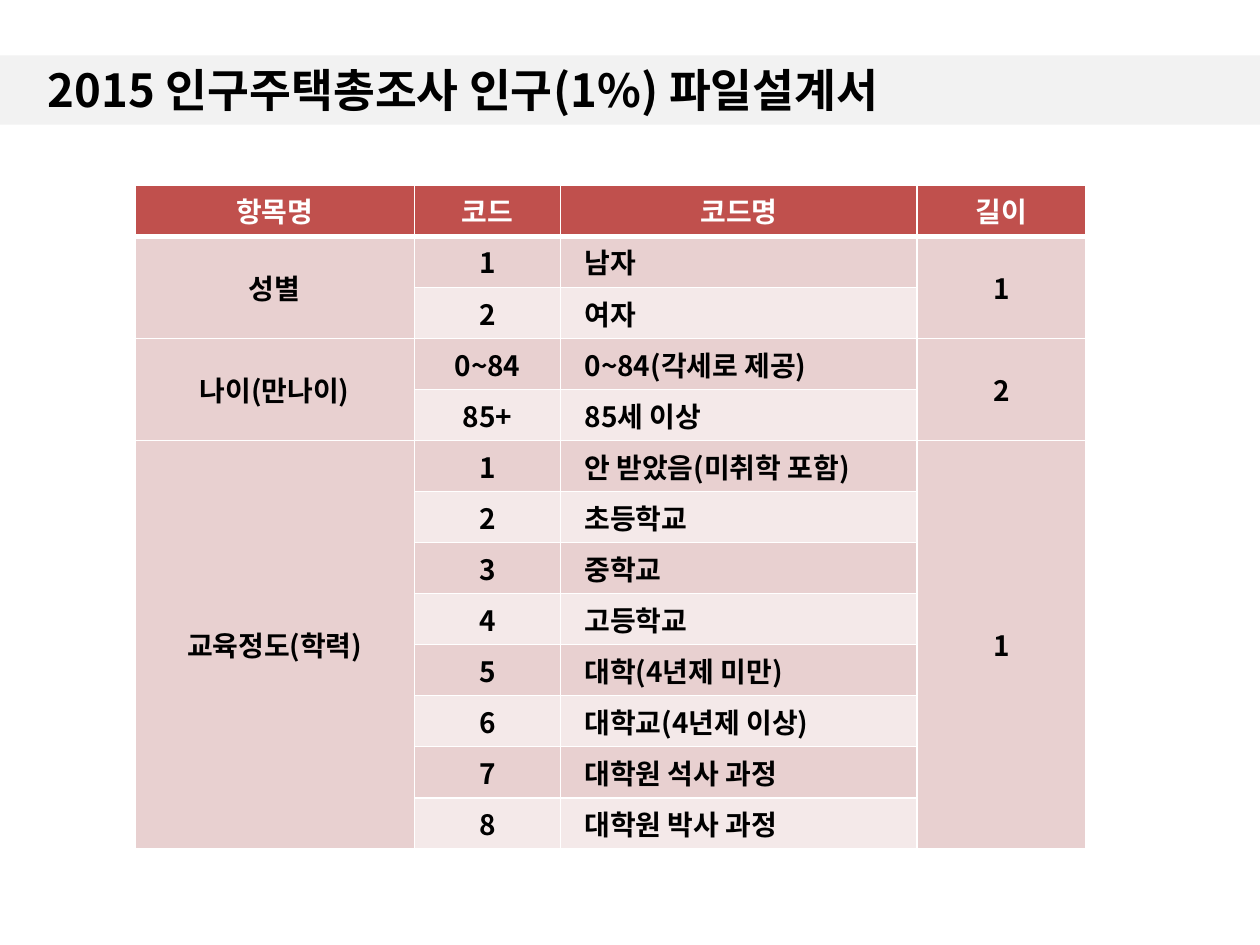
"""Build the census file layout slide: a title band above a code table."""
from dataclasses import dataclass

from lxml import etree
from pptx import Presentation
from pptx.dml.color import RGBColor
from pptx.enum import shapes, text
from pptx.oxml import ns
from pptx.util import Inches, Pt


@dataclass(frozen=True)
class Theme:
    """Colours, font and type sizes of the slide."""

    font: str = "Noto Sans CJK KR"
    title_size: int = 26
    table_size: int = 16
    ink: str = "000000"
    white: str = "FFFFFF"
    band: str = "F2F2F2"
    header: str = "C0504D"
    odd_row: str = "E8D0D0"
    even_row: str = "F4E9E9"
    thin_border: int = 1
    header_border: int = 3


HEADERS = ["항목명", "코드", "코드명", "길이"]
GROUPS = [
    ("성별", "1", [("1", "남자"), ("2", "여자")]),
    ("나이(만나이)", "2", [("0~84", "0~84(각세로 제공)"), ("85+", "85세 이상")]),
    ("교육정도(학력)", "1", [
        ("1", "안 받았음(미취학 포함)"),
        ("2", "초등학교"),
        ("3", "중학교"),
        ("4", "고등학교"),
        ("5", "대학(4년제 미만)"),
        ("6", "대학교(4년제 이상)"),
        ("7", "대학원 석사 과정"),
        ("8", "대학원 박사 과정"),
    ]),
]
COLUMN_WIDTHS = [2.22, 1.16, 2.83, 1.34]
NAME_COLUMN = 2
TABLE_HEIGHT = 5.27


class SlideBuilder:
    """Draw the elements of one slide in one theme."""

    def __init__(self, presentation, theme):
        """Start a title-only slide."""
        self.theme = theme
        self.slide = presentation.slides.add_slide(presentation.slide_layouts[5])

    def set_text(self, text_frame, wording, size, color, alignment):
        """Set one bold paragraph of text."""
        text_frame.text = wording
        paragraph = text_frame.paragraphs[0]
        paragraph.alignment = alignment
        for run in paragraph.runs:
            font = run.font
            font.name, font.size, font.bold = self.theme.font, Pt(size), True
            font.color.rgb = RGBColor.from_string(color)
            latin = font._element.find(ns.qn("a:latin"))
            east_asian = etree.Element(ns.qn("a:ea"), typeface=self.theme.font)
            latin.addnext(east_asian)

    def title(self, wording, left, top, width, height):
        """Place the title placeholder."""
        title = self.slide.shapes.title
        title.left, title.top = Inches(left), Inches(top)
        title.width, title.height = Inches(width), Inches(height)
        title.text_frame.vertical_anchor = text.MSO_ANCHOR.MIDDLE
        self.set_text(title.text_frame, wording, self.theme.title_size,
                      self.theme.ink, text.PP_ALIGN.LEFT)

    def band(self, left, top, width, height):
        """Lay a plain band behind the title."""
        shape = self.slide.shapes.add_shape(
            shapes.MSO_SHAPE.RECTANGLE,
            Inches(left), Inches(top), Inches(width), Inches(height))
        shape.shadow.inherit = False
        shape.fill.solid()
        shape.fill.fore_color.rgb = RGBColor.from_string(self.theme.band)
        shape.line.fill.background()
        shape.element.addnext(self.slide.shapes.title.element)

    def borders(self, cell, top_width, bottom_width):
        """Give a cell white borders."""
        thin = self.theme.thin_border
        sides = {"lnL": thin, "lnR": thin, "lnT": top_width, "lnB": bottom_width}
        properties = cell._tc.get_or_add_tcPr()
        for index, (side, width) in enumerate(sides.items()):
            line = etree.Element(ns.qn(f"a:{side}"), w=str(Pt(width)))
            fill = etree.SubElement(line, ns.qn("a:solidFill"))
            etree.SubElement(fill, ns.qn("a:srgbClr"), val=self.theme.white)
            properties.insert(index, line)

    def cell(self, table, row, column, wording):
        """Fill and format one table cell."""
        theme = self.theme
        cell = table.cell(row, column)
        is_header = row == 0
        is_name = column == NAME_COLUMN and not is_header
        cell.margin_left = Inches(0.19 if is_name else 0)
        cell.margin_right = cell.margin_top = cell.margin_bottom = 0
        cell.vertical_anchor = text.MSO_ANCHOR.MIDDLE
        self.set_text(cell.text_frame, wording, theme.table_size,
                      theme.white if is_header else theme.ink,
                      text.PP_ALIGN.LEFT if is_name else text.PP_ALIGN.CENTER)
        row_color = theme.odd_row if row % 2 else theme.even_row
        cell.fill.solid()
        cell.fill.fore_color.rgb = RGBColor.from_string(
            theme.header if is_header else row_color)
        self.borders(cell,
                     theme.header_border if row == 1 else theme.thin_border,
                     theme.header_border if is_header else theme.thin_border)

    def code_table(self, headers, groups, left, top):
        """Add the code table, merging the outer columns of each group."""
        rows = [headers]
        spans = []
        for item, length, codes in groups:
            spans.append((len(rows), len(rows) + len(codes) - 1))
            for index, (code, name) in enumerate(codes):
                is_first = index == 0
                rows.append([item if is_first else "", code, name,
                             length if is_first else ""])
        table = self.slide.shapes.add_table(
            len(rows), len(headers), Inches(left), Inches(top),
            Inches(sum(COLUMN_WIDTHS)), Inches(TABLE_HEIGHT)).table
        for column, width in zip(table.columns, COLUMN_WIDTHS):
            column.width = Inches(width)
        for row, wordings in enumerate(rows):
            for column, wording in enumerate(wordings):
                self.cell(table, row, column, wording)
        for first, last in spans:
            for column in (0, len(headers) - 1):
                table.cell(first, column).merge(table.cell(last, column))


def main():
    """Build and save the presentation."""
    presentation = Presentation()
    presentation.slide_width, presentation.slide_height = Inches(10), Inches(7.5)
    builder = SlideBuilder(presentation, Theme())
    builder.band(0, 0.44, 10, 0.55)
    builder.title("2015 인구주택총조사 인구(1%) 파일설계서", 0.28, 0.43, 9.45, 0.56)
    builder.code_table(HEADERS, GROUPS, 1.07, 1.47)
    presentation.save("out.pptx")


if __name__ == "__main__":
    main()
